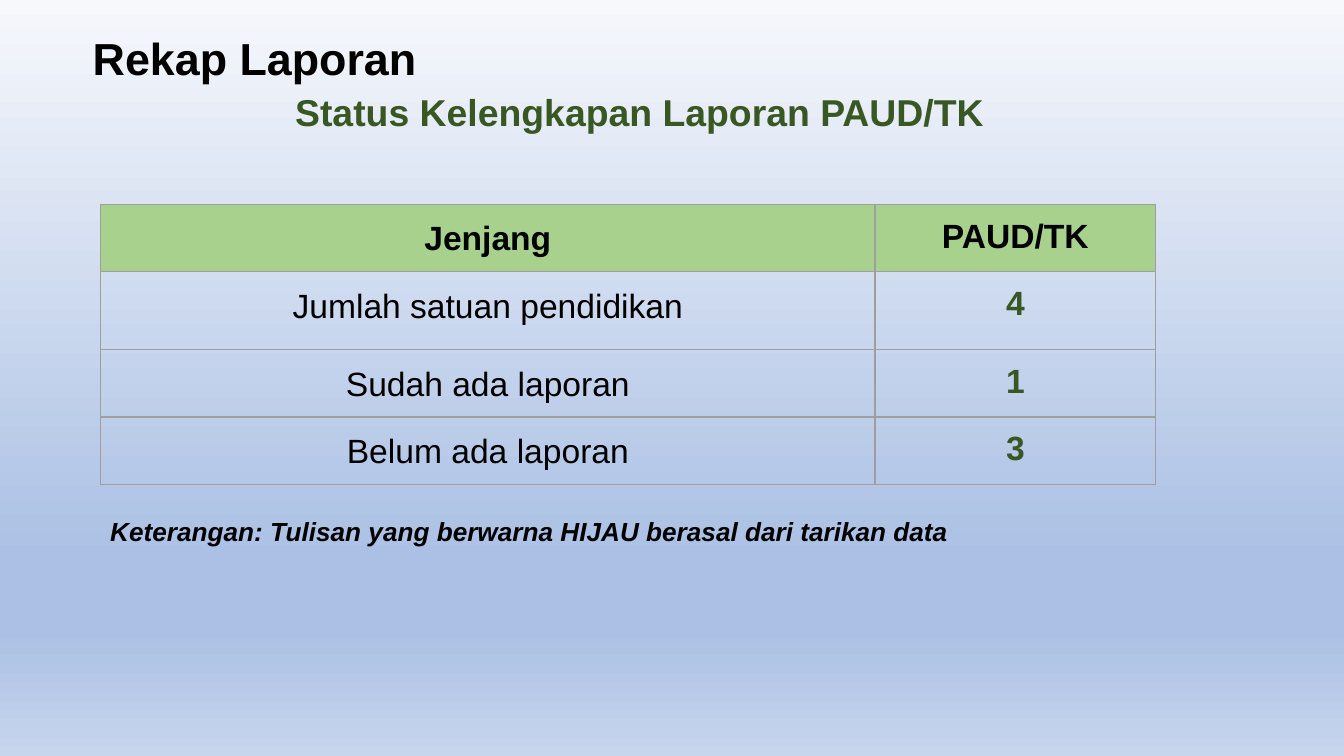
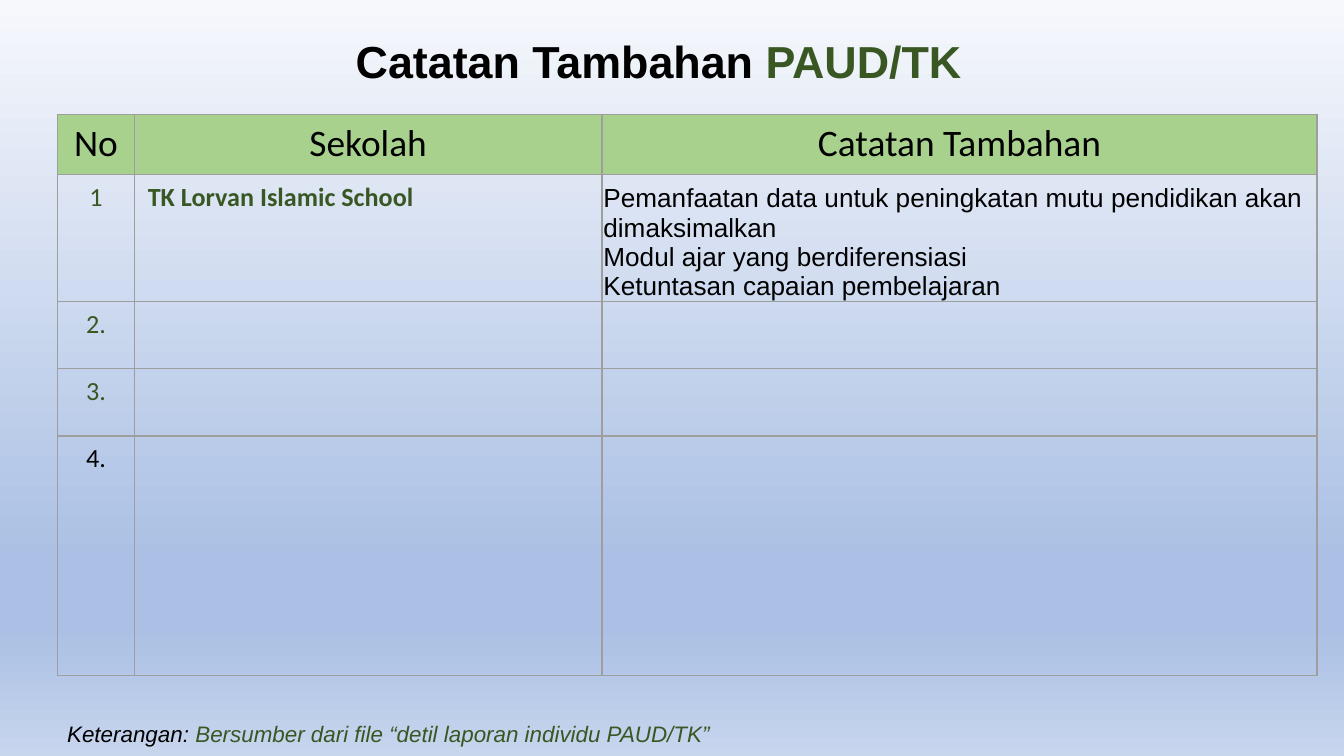
from dataclasses import dataclass

from lxml import etree
from pptx import Presentation
from pptx import util as u
from pptx.dml.color import RGBColor
from pptx.enum import text
from pptx.oxml import ns

LEFT, CENTER = text.PP_ALIGN.LEFT, text.PP_ALIGN.CENTER
TOP, BOTTOM = text.MSO_ANCHOR.TOP, text.MSO_ANCHOR.BOTTOM


@dataclass(frozen=True)
class Theme:
    black: str = "000000"
    green: str = "385723"
    header: str = "A9D18E"
    border: str = "9E9E9E"
    backdrop: tuple = ((0, "F6F8FC"), (74, "ABC0E4"), (83, "ABC0E4"), (100, "C7D5ED"))
    sans: str = "Arial"
    table_font: str = "Calibri"
    title: int = 24
    heading: int = 20
    body: int = 18
    note: int = 14
    source: int = 12
    border_pt: float = 0.75
    box_insets: tuple = (0.07, 0.04, 0.07, 0.04)
    cell_insets: tuple = (0.1, 0.05, 0.1, 0.05)
    wide_insets: tuple = (0.1, 0.1, 0.1, 0.08)
    tight_insets: tuple = (0.01, 0.01, 0.01, 0)


T = Theme()


def add_run(p, words, size, color=T.black, font=T.sans, bold=False, italic=False):
    r = p.add_run()
    r.text = words
    f = r.font
    f.size, f.name, f.bold, f.italic = u.Pt(size), font, bold, italic
    f.color.rgb = RGBColor.from_string(color)


def set_insets(target, insets):
    """Set left, top, right and bottom margins of a text frame or a cell."""
    for side, inset in zip(("left", "top", "right", "bottom"), insets):
        setattr(target, f"margin_{side}", u.Inches(inset))


def add_text(s, box, runs, align=LEFT):
    """Add a one-paragraph box; each run is (words, style)."""
    tf = s.shapes.add_textbox(*map(u.Inches, box)).text_frame
    tf.word_wrap = True
    tf.vertical_anchor = text.MSO_ANCHOR.MIDDLE
    set_insets(tf, T.box_insets)
    p = tf.paragraphs[0]
    p.alignment, p.line_spacing = align, 0.9
    for words, style in runs:
        add_run(p, words, **style)


def set_borders(cell):
    tc_pr = cell._tc.get_or_add_tcPr()
    for side in "LRTB":
        ln = etree.SubElement(tc_pr, ns.qn(f"a:ln{side}"), w=str(u.Pt(T.border_pt)))
        fill = etree.SubElement(ln, ns.qn("a:solidFill"))
        etree.SubElement(fill, ns.qn("a:srgbClr"), val=T.border)


def add_grid(s, left, top, widths, heights):
    """Add a bordered table with a filled header row and clear body cells."""
    box = map(u.Inches, (left, top, sum(widths), sum(heights)))
    table = s.shapes.add_table(len(heights), len(widths), *box).table
    table.first_row = table.horz_banding = False
    for column, width in zip(table.columns, widths):
        column.width = u.Inches(width)
    for i, (row, height) in enumerate(zip(table.rows, heights)):
        row.height = u.Inches(height)
        for cell in row.cells:
            set_borders(cell)
            if i == 0:
                cell.fill.solid()
                cell.fill.fore_color.rgb = RGBColor.from_string(T.header)
            else:
                cell.fill.background()
    return table


def fill_cell(cell, lines, align=CENTER, insets=T.cell_insets, anchor=TOP,
              spacing=None, after=None, **style):
    set_insets(cell, insets)
    cell.vertical_anchor = anchor
    tf = cell.text_frame
    for i, line in enumerate(lines):
        p = tf.add_paragraph() if i else tf.paragraphs[0]
        p.alignment, p.line_spacing, p.space_after = align, spacing, after
        add_run(p, line, **style)


def summary_table(s, left, top):
    table = add_grid(s, left, top, (5.76, 2.09), (0.5, 0.58, 0.5, 0.5))
    rows = (("Jenjang", "PAUD/TK"), ("Jumlah satuan pendidikan", "4"),
            ("Sudah ada laporan", "1"), ("Belum ada laporan", "3"))
    for i, (label, value) in enumerate(rows):
        fill_cell(table.cell(i, 0), [label], insets=T.wide_insets, spacing=1.07,
                  after=u.Pt(8), size=T.body, bold=i == 0)
        fill_cell(table.cell(i, 1), [value], insets=T.wide_insets, size=T.body,
                  bold=True, color=T.green if i else T.black)


def notes_table(s, left, top):
    table = add_grid(s, left, top, (0.57, 3.48, 5.32), (0.45, 0.89, 0.5, 0.5, 1.78))
    for j, heading in enumerate(("No", "Sekolah", "Catatan Tambahan")):
        fill_cell(table.cell(0, j), [heading], size=T.heading, font=T.table_font)
    for i, number in enumerate(("1", "2.", "3.", "4."), 1):
        fill_cell(table.cell(i, 0), [number], size=T.note, font=T.table_font,
                  color=T.black if i == 4 else T.green)
    fill_cell(table.cell(1, 1), ["TK Lorvan Islamic School"], align=LEFT,
              size=T.note, font=T.table_font, color=T.green, bold=True)
    remarks = ["Pemanfaatan data untuk peningkatan mutu pendidikan akan dimaksimalkan",
               "Modul ajar yang berdiferensiasi",
               "Ketuntasan capaian pembelajaran"]
    fill_cell(table.cell(1, 2), remarks, align=LEFT, insets=T.tight_insets,
              anchor=BOTTOM, size=T.note)


def set_backdrop(master):
    """Give every slide the vertical gradient through the master."""
    fill = master.background.fill
    fill.gradient()
    fill.gradient_angle = 270
    stops = master.element.find(".//" + ns.qn("a:gsLst"))
    for stop in list(stops):
        stops.remove(stop)
    for percent, color in T.backdrop:
        stop = etree.SubElement(stops, ns.qn("a:gs"), pos=str(percent * 1000))
        etree.SubElement(stop, ns.qn("a:srgbClr"), val=color)


def recap_slide(s):
    title = dict(size=T.title, bold=True)
    add_text(s, (0.62, 0.16, 2.56, 0.59), [("Rekap Laporan", title)])
    summary_table(s, 0.75, 1.52)
    status = dict(size=T.heading, bold=True, color=T.green)
    add_text(s, (0.62, 0.62, 8.28, 0.46),
             [("Status Kelengkapan Laporan PAUD/TK", status)], CENTER)
    note = dict(size=T.note, bold=True, italic=True)
    add_text(s, (0.75, 3.51, 8.62, 0.91),
             [("Keterangan: Tulisan yang berwarna HIJAU berasal dari tarikan data", note)])


def notes_slide(s):
    title = dict(size=T.title, bold=True)
    add_text(s, (-0.1, 0.25, 10, 0.46),
             [("Catatan Tambahan ", title), ("PAUD/TK", title | dict(color=T.green))], CENTER)
    source = dict(size=T.source, italic=True)
    add_text(s, (0.43, 5.32, 9.17, 0.3),
             [("Keterangan: ", source),
              ("Bersumber dari file “detil laporan individu PAUD/TK”",
               source | dict(color=T.green))])
    notes_table(s, 0.43, 0.85)


def main():
    prs = Presentation()
    prs.slide_width = u.Inches(10)
    prs.slide_height = prs.slide_width * 9 // 16
    set_backdrop(prs.slide_master)
    for build in (recap_slide, notes_slide):
        build(prs.slides.add_slide(prs.slide_layouts[6]))
    prs.save("out.pptx")


if __name__ == "__main__":
    main()
